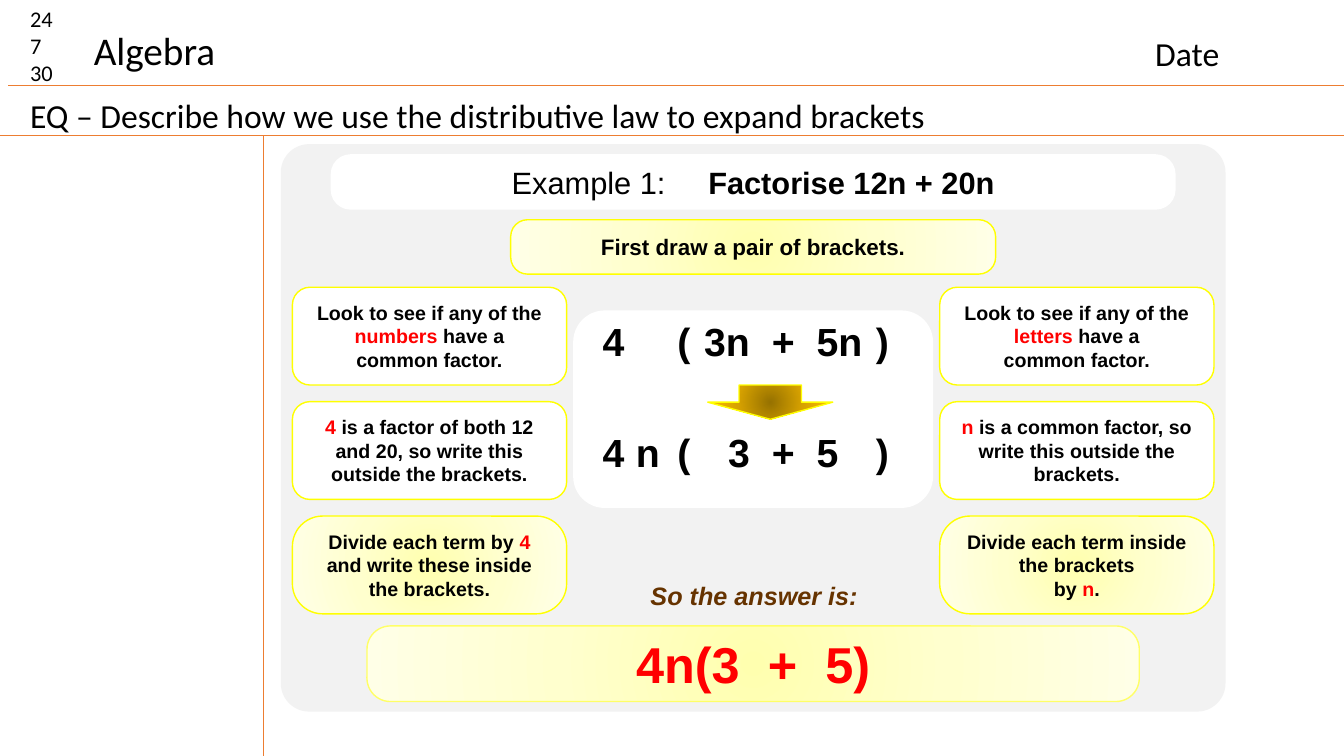
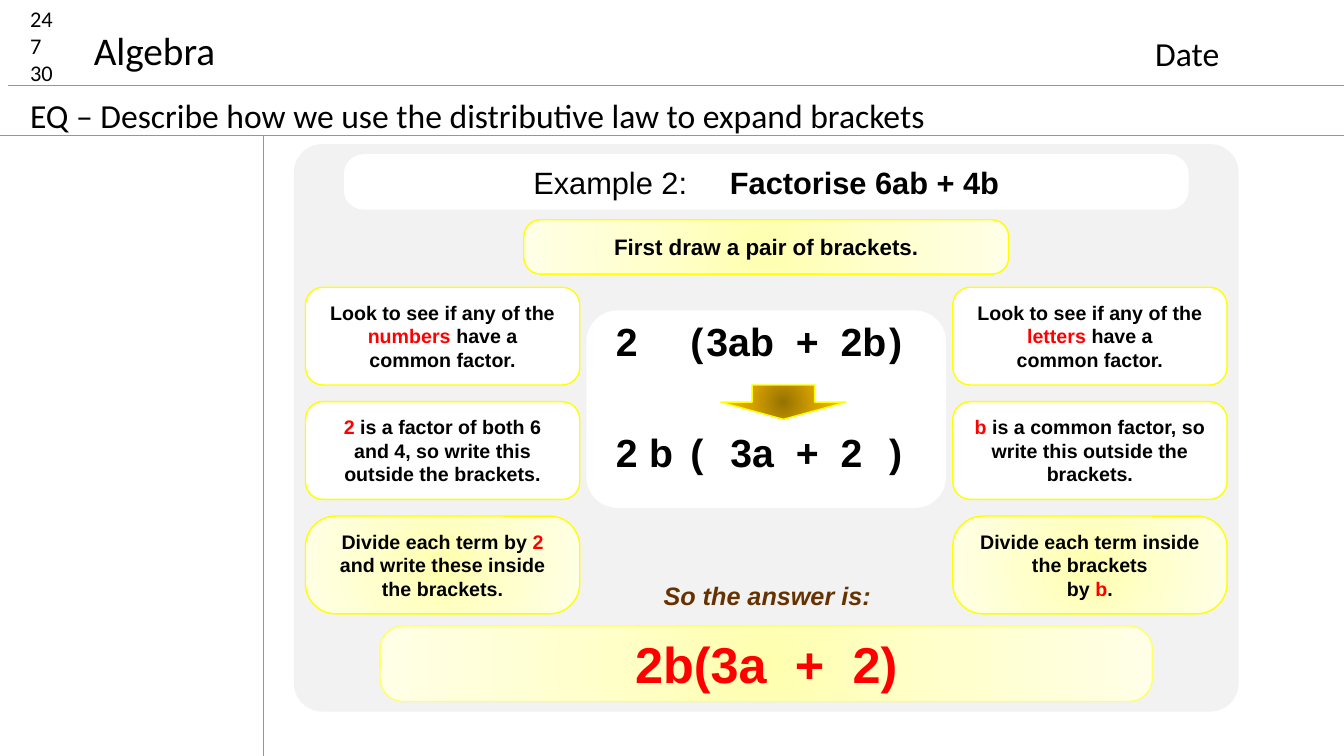
from dataclasses import dataclass

from lxml.etree import SubElement
from pptx import Presentation
from pptx.dml.color import RGBColor
from pptx.enum.shapes import MSO_CONNECTOR, MSO_SHAPE
from pptx.enum.text import MSO_ANCHOR, MSO_AUTO_SIZE, PP_ALIGN
from pptx.oxml import parse_xml
from pptx.oxml.ns import nsdecls, qn
from pptx.util import Inches, Pt


@dataclass(frozen=True)
class Style:
    size: float
    font: str = "Arial"
    color: str = "000000"
    bold: bool = True
    italic: bool = False


@dataclass(frozen=True)
class Theme:
    rule: str = "ED7D31"
    panel: str = "F2F2F2"
    white: str = "FFFFFF"
    outline: str = "FFFF00"
    answer_outline: str = "FFFF66"
    accent: str = "FF0000"
    glow: tuple = ("FFFFAF", "FFFFCE", "FFFFE7")
    gold: tuple = ("977200", "D7A200", "FFC000")
    counter: Style = Style(16, "Calibri", bold=False)
    heading: Style = Style(24, "Calibri", bold=False)
    title: Style = Style(28, "Calibri", bold=False)
    example: Style = Style(22)
    step: Style = Style(16)
    card: Style = Style(14)
    working: Style = Style(28)
    conclusion: Style = Style(18, color="663300", italic=True)
    answer: Style = Style(36, color="FF0000")


THEME = Theme()


@dataclass(frozen=True)
class Span:
    text: str
    color: str = ""
    bold: bool = True
    spacing: float = 0


@dataclass(frozen=True)
class Example:
    number: int
    center: float
    task: str
    factor: str
    letter: str
    numbers: tuple
    divided: tuple
    reduced: tuple


EXAMPLES = (
    Example(1, 7.47, "12n + 20n", "4", "n", ("12", "20"), ("3n", "5n"), ("3", "5")),
    Example(2, 7.6, "6ab + 4b", "2", "b", ("6", "4"), ("3ab", "2b"), ("3a", "2")),
)


def red(text):
    return Span(text, THEME.accent)


def wide_sum(terms, style):
    """Spans for a sum with a double-width space on each side of the plus."""
    gap = Span(" ", spacing=style.size * 0.28)
    return [Span(terms[0]), gap, Span("+"), gap, Span(terms[1])]


def write(frame, paragraphs, style, align=PP_ALIGN.LEFT, tabs=()):
    for index, spans in enumerate(paragraphs):
        para = frame.paragraphs[0] if index == 0 else frame.add_paragraph()
        para.alignment = align
        if tabs:
            tab_list = SubElement(para._p.get_or_add_pPr(), qn("a:tabLst"))
            for position, kind in tabs:
                SubElement(tab_list, qn("a:tab"), pos=str(Inches(position)), algn=kind)
        for item in spans:
            run = para.add_run()
            run.text = item.text
            font = run.font
            font.name, font.size = style.font, Pt(style.size)
            font.bold = style.bold and item.bold
            font.italic = style.italic
            font.color.rgb = RGBColor.from_string(item.color or style.color)
            if item.spacing:
                run._r.get_or_add_rPr().set("spc", str(round(item.spacing * 100)))


def add_text(page, left, top, width, height, paragraphs, style, **layout):
    box = page.shapes.add_textbox(*map(Inches, (left, top, width, height)))
    box.text_frame.word_wrap = True
    write(box.text_frame, paragraphs, style, **layout)


def set_radial_fill(shape, colors):
    shape.fill.background()
    stops = "".join(
        f'<a:gs pos="{index * 50000}"><a:srgbClr val="{color}"/></a:gs>'
        for index, color in enumerate(colors))
    gradient = parse_xml(
        f'<a:gradFill {nsdecls("a")} rotWithShape="1"><a:gsLst>{stops}</a:gsLst>'
        '<a:path path="circle"><a:fillToRect l="50000" t="50000" r="50000" b="50000"/>'
        '</a:path></a:gradFill>')
    properties = shape._element.spPr
    properties.replace(properties.find(qn("a:noFill")), gradient)


def add_figure(page, kind, center, top, width, height, fill, outline=""):
    """Add a preset shape centred on an x position; a tuple fill is radial."""
    shape = page.shapes.add_shape(
        kind, *map(Inches, (center - width / 2, top, width, height)))
    shape.shadow.inherit = False
    if isinstance(fill, tuple):
        set_radial_fill(shape, fill)
    else:
        shape.fill.solid()
        shape.fill.fore_color.rgb = RGBColor.from_string(fill)
    if outline:
        shape.line.color.rgb = RGBColor.from_string(outline)
        shape.line.width = Pt(1)
    else:
        shape.line.fill.background()
    return shape


def add_round_box(page, center, top, width, height, radius, fill, outline="",
                  paragraphs=(), style=None):
    shape = add_figure(page, MSO_SHAPE.ROUNDED_RECTANGLE, center, top, width, height,
                       fill, outline)
    shape.adjustments[0] = radius
    if paragraphs:
        frame = shape.text_frame
        frame.word_wrap = True
        frame.vertical_anchor = MSO_ANCHOR.MIDDLE
        corner_inset = radius * height * 0.29
        frame.margin_left = frame.margin_right = Inches(0.2 - corner_inset)
        frame.margin_top = frame.margin_bottom = 0
        write(frame, paragraphs, style, PP_ALIGN.CENTER)


def add_rule(page, x1, y1, x2, y2):
    rule = page.shapes.add_connector(
        MSO_CONNECTOR.STRAIGHT, *map(Inches, (x1, y1, x2, y2)))
    rule.line.color.rgb = RGBColor.from_string(THEME.rule)
    rule.line.width = Pt(0.5)
    SubElement(rule._element.spPr, qn("a:effectLst"))


def add_title(page, text):
    title = page.shapes.title
    title.left, title.top, title.width, title.height = map(
        Inches, (0.83, 0.21, 1.42, 0.57))
    frame = title.text_frame
    frame.word_wrap = False
    frame.auto_size = MSO_AUTO_SIZE.NONE
    frame.vertical_anchor = MSO_ANCHOR.TOP
    write(frame, [[Span(text)]], THEME.title)


def add_page_frame(page):
    for ends in ((0.08, 0.85, 13.33, 0.85), (0, 1.34, 13.33, 1.34),
                 (2.61, 1.34, 2.61, 7.5)):
        add_rule(page, *ends)
    add_title(page, "Algebra")
    add_text(page, 0.2, 0, 0.63, 0.91, [[Span(n)] for n in ("24", "7", "30")],
             THEME.counter)
    add_text(page, 11.36, 0.28, 1.73, 0.5, [[Span("Date")]], THEME.heading)
    add_text(page, 0.2, 0.89, 11.4, 0.5,
             [[Span("EQ – Describe how we use the distributive law to expand brackets")]],
             THEME.heading)


def add_cards(page, example):
    first, second = example.numbers
    number_cards = (
        [[Span("Look to see if any of the "), red("numbers"),
          Span(" have a common factor.")]],
        [[red(example.factor), Span(f" is a factor of both {first} and {second}, "
                                    "so write this outside the brackets.")]],
        [[Span("Divide each term by "), red(example.factor),
          Span(" and write these inside the brackets.")]],
    )
    letter_cards = (
        [[Span("Look to see if any of the "), red("letters"), Span(" have a")],
         [Span("common factor.")]],
        [[red(example.letter),
          Span(" is a common factor, so write this outside the brackets.")]],
        [[Span("Divide each term inside the brackets")],
         [Span("by "), red(example.letter), Span(".")]],
    )
    looks = ((0.18, THEME.white), (0.18, THEME.white), (0.31, THEME.glow))
    for side, cards in ((-1, number_cards), (1, letter_cards)):
        for row, (paragraphs, (radius, fill)) in enumerate(zip(cards, looks)):
            add_round_box(page, example.center + side * 3.21, 2.85 + row * 1.135,
                          2.72, 0.97, radius, fill, THEME.outline,
                          paragraphs, THEME.card)


def add_working(page, example):
    center = example.center
    add_round_box(page, center, 3.08, 3.57, 1.96, 0.16, THEME.white)
    tabs = ((0.33, "l"), (0.74, "l"), (1.79, "ctr"), (2.71, "l"))
    for top, letter, terms in ((3.1, "", example.divided),
                               (4.2, example.letter, example.reduced)):
        spans = [Span(f"{example.factor}\t{letter}\t(\t"),
                 *wide_sum(terms, THEME.working), Span("\t)")]
        add_text(page, center - 1.59, top, 3.3, 0.57, [spans], THEME.working, tabs=tabs)
    add_figure(page, MSO_SHAPE.DOWN_ARROW, center + 0.17, 3.82, 1.24, 0.34,
               THEME.gold, THEME.outline)


def add_example(page, example):
    center = example.center
    add_round_box(page, center, 1.43, 9.37, 5.63, 0.05, THEME.panel)
    add_round_box(page, center, 1.53, 8.38, 0.55, 0.36, THEME.white, paragraphs=[[
        Span(f"Example {example.number}:", bold=False),
        Span(" ", spacing=24.5),
        Span(f"Factorise {example.task}")]], style=THEME.example)
    add_round_box(page, center, 2.18, 4.81, 0.54, 0.31, THEME.glow, THEME.outline,
                  [[Span("First draw a pair of brackets.")]], THEME.step)
    add_cards(page, example)
    add_working(page, example)
    add_text(page, center - 1.14, 5.71, 2.3, 0.4, [[Span("So the answer is:")]],
             THEME.conclusion, align=PP_ALIGN.CENTER)
    factored = [Span(f"{example.factor}{example.letter}("),
                *wide_sum(example.reduced, THEME.answer), Span(")")]
    add_round_box(page, center, 6.21, 7.66, 0.75, 0.31, THEME.glow,
                  THEME.answer_outline, [factored], THEME.answer)


def main():
    deck = Presentation()
    deck.slide_width, deck.slide_height = Inches(13.33), Inches(7.5)
    title_only = deck.slide_layouts[5]
    for example in EXAMPLES:
        page = deck.slides.add_slide(title_only)
        add_page_frame(page)
        add_example(page, example)
    deck.save("out.pptx")


if __name__ == "__main__":
    main()
